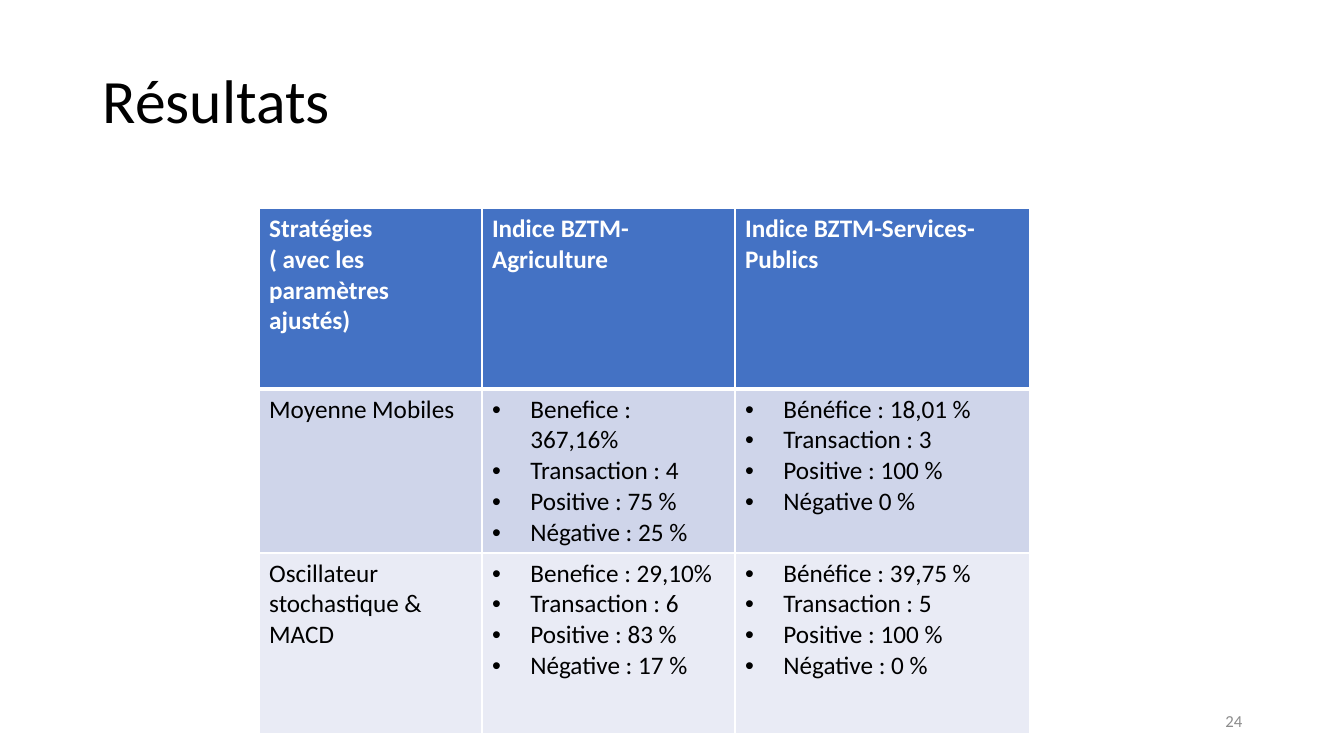
from dataclasses import dataclass

from lxml import etree
from pptx import Presentation
from pptx.dml.color import RGBColor
from pptx.enum.text import MSO_ANCHOR, PP_ALIGN
from pptx.oxml.ns import qn
from pptx.util import Emu, Inches, Pt

MIDDLE = MSO_ANCHOR.MIDDLE
LEFT, RIGHT = PP_ALIGN.LEFT, PP_ALIGN.RIGHT
TITLE_ONLY = 5
SLIDE_WIDTH, SLIDE_HEIGHT = Inches(13.33), Inches(7.5)
FONT = "Calibri"
BLACK, WHITE, GREY = "000000", "FFFFFF", "8C8C8C"
HEADER_BLUE = "4472C4"
BULLET_INDENT = Inches(0.38)


@dataclass(frozen=True)
class Area:
    left: float
    top: float
    width: float
    height: float


@dataclass(frozen=True)
class Strategy:
    name: str
    agriculture: tuple[str, ...]
    services: tuple[str, ...]
    fill: str


TITLE_AREA = Area(6.9, 4, 86.25, 19.33)
NUMBER_AREA = Area(70.67, 92.67, 22.5, 5.33)
TABLE_LEFT, TABLE_TOP = 19.28, 27.6
COLUMN_SHARES = (16.58, 18.83, 21.9)
ROW_SHARES = (23.87, 19.33, 23.87)

HEADINGS = (
    ("Stratégies", "( avec les paramètres ajustés)"),
    ("Indice BZTM-Agriculture",),
    ("Indice BZTM-Services-Publics",),
)
STRATEGIES = (
    Strategy(
        "Moyenne Mobiles",
        ("Benefice : 367,16%", "Transaction : 4", "Positive : 75 %", "Négative : 25 %"),
        ("Bénéfice : 18,01 %", "Transaction : 3", "Positive : 100 %", "Négative 0 %"),
        "CFD5EA",
    ),
    Strategy(
        "Oscillateur stochastique & MACD",
        ("Benefice : 29,10%", "Transaction : 6", "Positive : 83 %", "Négative : 17 %"),
        ("Bénéfice : 39,75 %", "Transaction : 5", "Positive : 100 %", "Négative : 0 %"),
        "E9EBF5",
    ),
)


def across(percent: float) -> Emu:
    return Emu(round(SLIDE_WIDTH * percent / 100))


def down(percent: float) -> Emu:
    return Emu(round(SLIDE_HEIGHT * percent / 100))


def place(area: Area) -> tuple[Emu, Emu, Emu, Emu]:
    return across(area.left), down(area.top), across(area.width), down(area.height)


def colour(hex_value: str) -> RGBColor:
    return RGBColor.from_string(hex_value)


def add_bullet(paragraph) -> None:
    properties = paragraph._p.get_or_add_pPr()
    properties.set("marL", str(BULLET_INDENT))
    properties.set("indent", str(-BULLET_INDENT))
    etree.SubElement(properties, qn("a:buFont")).set("typeface", "Arial")
    etree.SubElement(properties, qn("a:buChar")).set("char", "•")


def write(frame, lines: tuple[str, ...], *, size: float = 18, ink: str = BLACK,
          bold: bool = False, bullets: bool = False, align: PP_ALIGN = LEFT,
          spacing: float = 1.0) -> None:
    frame.word_wrap = True
    for index, line in enumerate(lines):
        paragraph = frame.add_paragraph() if index else frame.paragraphs[0]
        paragraph.alignment = align
        paragraph.line_spacing = spacing
        if bullets:
            add_bullet(paragraph)
        run = paragraph.add_run()
        run.text = line
        run.font.name = FONT
        run.font.size = Pt(size)
        run.font.bold = bold
        run.font.color.rgb = colour(ink)


def format_cell(cell, fill: str, top: float = 1, bottom: float = 1) -> None:
    properties = cell._tc.get_or_add_tcPr()
    for side, points in (("L", 1), ("R", 1), ("T", top), ("B", bottom)):
        border = etree.SubElement(properties, qn(f"a:ln{side}"), w=str(Pt(points)))
        paint = etree.SubElement(border, qn("a:solidFill"))
        etree.SubElement(paint, qn("a:srgbClr"), val=WHITE)
    cell.fill.solid()
    cell.fill.fore_color.rgb = colour(fill)


def add_results(slide) -> None:
    area = Area(TABLE_LEFT, TABLE_TOP, sum(COLUMN_SHARES), sum(ROW_SHARES))
    results = slide.shapes.add_table(
        len(ROW_SHARES), len(COLUMN_SHARES), *place(area)).table
    for column, share in zip(results.columns, COLUMN_SHARES):
        column.width = across(share)
    for row, share in zip(results.rows, ROW_SHARES):
        row.height = down(share)

    for index, heading in enumerate(HEADINGS):
        cell = results.cell(0, index)
        format_cell(cell, HEADER_BLUE, bottom=3)
        write(cell.text_frame, heading, ink=WHITE, bold=True)

    for row_index, strategy in enumerate(STRATEGIES, start=1):
        contents = ((strategy.name,), strategy.agriculture, strategy.services)
        for index, lines in enumerate(contents):
            cell = results.cell(row_index, index)
            format_cell(cell, strategy.fill, top=3 if row_index == 1 else 1)
            write(cell.text_frame, lines, bullets=index > 0)


def main() -> None:
    presentation = Presentation()
    presentation.slide_width = SLIDE_WIDTH
    presentation.slide_height = SLIDE_HEIGHT
    slide = presentation.slides.add_slide(presentation.slide_layouts[TITLE_ONLY])

    title = slide.shapes.title
    title.left, title.top, title.width, title.height = place(TITLE_AREA)
    title.text_frame.vertical_anchor = MIDDLE
    write(title.text_frame, ("Résultats",), size=44, spacing=0.9)

    add_results(slide)

    page_number = slide.shapes.add_textbox(*place(NUMBER_AREA))
    page_number.text_frame.vertical_anchor = MIDDLE
    write(page_number.text_frame, ("24",), size=12, ink=GREY, align=RIGHT)

    presentation.save("out.pptx")


if __name__ == "__main__":
    main()
